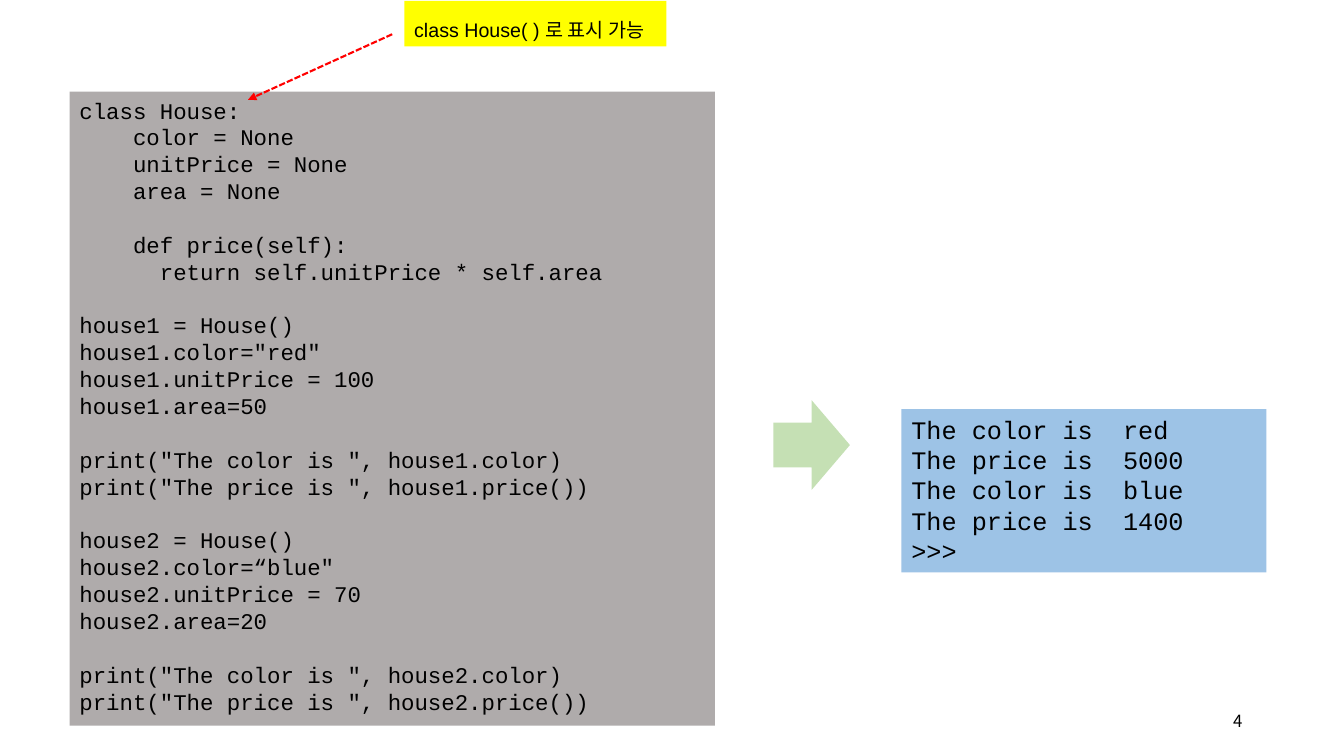
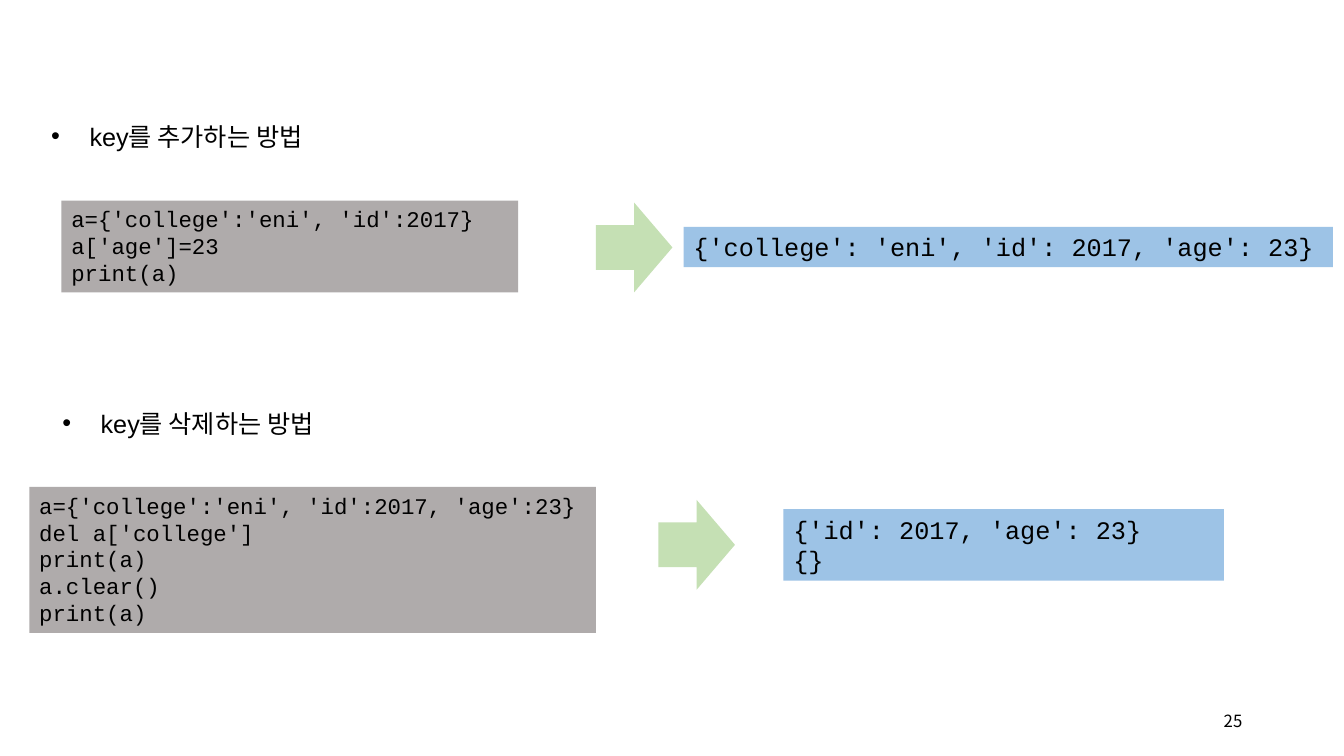
from pptx import Presentation
from pptx.dml.color import RGBColor
from pptx.enum.dml import MSO_LINE
from pptx.enum.shapes import MSO_CONNECTOR, MSO_SHAPE
from pptx.enum.text import MSO_ANCHOR, PP_ALIGN
from pptx.oxml.ns import qn
from pptx.util import Inches, Pt
from lxml import etree

RECTANGLE, RIGHT_ARROW = MSO_SHAPE.RECTANGLE, MSO_SHAPE.RIGHT_ARROW
TOP, MIDDLE = MSO_ANCHOR.TOP, MSO_ANCHOR.MIDDLE
LEFT, RIGHT = PP_ALIGN.LEFT, PP_ALIGN.RIGHT
STRAIGHT, DASH = MSO_CONNECTOR.STRAIGHT, MSO_LINE.SQUARE_DOT

COLORS = {"code": "AFABAB", "output": "9DC3E6", "arrow": "C5E0B4",
          "callout": "FFFF00", "pointer": "FF0000", "text": "000000"}
KOREAN_FONT = "Noto Sans CJK KR"
MONO_LEADING = 1.2
BULLET_INDENT = 0.38
ARROW_SIZE = (0.76, 0.89)
NUMBER_BOX = (11.87, 6.95, 0.55, 0.4)

# Text styles
STYLES = {
    "code": {"name": "Courier New", "size": Pt(16)},
    "output": {"name": "Courier New", "size": Pt(18)},
    "callout": {"name": "Arial", "size": Pt(14)},
    "bullet": {"name": "Arial", "size": Pt(18)},
    "number": {"name": KOREAN_FONT, "size": Pt(12)},
}

# Content: each code example is a list of stanzas
HOUSE_CODE = [
    ["class House:", "    color = None", "    unitPrice = None", "    area = None"],
    ["    def price(self):", "      return self.unitPrice * self.area"],
    ["house1 = House()", 'house1.color="red"', "house1.unitPrice = 100",
     "house1.area=50"],
    ['print("The color is ", house1.color)', 'print("The price is ", house1.price())'],
    ["house2 = House()", 'house2.color=“blue"', "house2.unitPrice = 70",
     "house2.area=20"],
    ['print("The color is ", house2.color)', 'print("The price is ", house2.price())'],
]
HOUSE_OUTPUT = [["The color is  red", "The price is  5000", "The color is  blue",
                 "The price is  1400", ">>>"]]
ADD_CODE = [["a={'college':'eni', 'id':2017}", "a['age']=23", "print(a)"]]
ADD_OUTPUT = [["{'college': 'eni', 'id': 2017, 'age': 23}"]]
DELETE_CODE = [["a={'college':'eni', 'id':2017, 'age':23}", "del a['college']",
                "print(a)", "a.clear()", "print(a)"]]
DELETE_OUTPUT = [["{'id': 2017, 'age': 23}", "{}"]]

SLIDES = [
    {"number": "4",
     "examples": [
         {"code": (HOUSE_CODE, (0.69, 0.91, 6.4, 6.29)),
          "arrow": (7.67, 3.97),
          "output": (HOUSE_OUTPUT, (8.94, 4.06, 3.62, 1.62))}],
     "callout": ("class House( ) 로 표시 가능", (4.01, 0.01, 2.6, 0.45)),
     "pointer": (3.89, 0.34, 2.46, 0.99)},
    {"number": "25",
     "examples": [
         {"bullet": ("key를 추가하는 방법", (0.41, 1, 2.88, 0.56)),
          "code": (ADD_CODE, (0.61, 1.99, 4.53, 0.91)),
          "arrow": (5.91, 2.01),
          "output": (ADD_OUTPUT, (6.78, 2.25, 6.44, 0.4))},
         {"bullet": ("key를 삭제하는 방법", (0.52, 3.85, 2.88, 0.56)),
          "code": (DELETE_CODE, (0.29, 4.83, 5.62, 1.45)),
          "arrow": (6.53, 4.96),
          "output": (DELETE_OUTPUT, (7.77, 5.05, 4.37, 0.71))}]},
]


def inches(values):
    return [Inches(value) for value in values]


def write_paragraph(paragraph, text, style, **layout):
    for name, value in {"alignment": LEFT, **layout}.items():
        setattr(paragraph, name, value)
    run = paragraph.add_run()
    run.text = text
    for name, value in STYLES[style].items():
        setattr(run.font, name, value)
    run.font.color.rgb = RGBColor.from_string(COLORS["text"])
    east_asian = etree.SubElement(run.font._element, qn("a:ea"))
    east_asian.set("typeface", KOREAN_FONT)


def add_filled_shape(slide, kind, box, color):
    shape = slide.shapes.add_shape(kind, *inches(box))
    shape.shadow.inherit = False
    shape.fill.solid()
    shape.fill.fore_color.rgb = RGBColor.from_string(COLORS[color])
    shape.line.fill.background()
    shape.text_frame.vertical_anchor = TOP
    return shape


def add_listing(slide, style, stanzas, box):
    """Monospaced block; stanzas are one line apart."""
    frame = add_filled_shape(slide, RECTANGLE, box, style).text_frame
    frame.word_wrap = True
    line_height = Pt(STYLES[style]["size"].pt * MONO_LEADING)
    paragraph = frame.paragraphs[0]
    for stanza_index, stanza in enumerate(stanzas):
        for line_index, line in enumerate(stanza):
            if stanza_index or line_index:
                paragraph = frame.add_paragraph()
            starts_stanza = stanza_index > 0 and line_index == 0
            write_paragraph(paragraph, line, style, line_spacing=line_height,
                            space_before=line_height if starts_stanza else Pt(0))


def add_bullet(slide, text, box):
    frame = slide.shapes.add_textbox(*inches(box)).text_frame
    frame.word_wrap = False
    paragraph = frame.paragraphs[0]
    write_paragraph(paragraph, text, "bullet", line_spacing=1.5)
    properties = paragraph._p.get_or_add_pPr()
    properties.set("marL", str(Inches(BULLET_INDENT)))
    properties.set("indent", str(-Inches(BULLET_INDENT)))
    etree.SubElement(properties, qn("a:buFont")).set("typeface", "Arial")
    etree.SubElement(properties, qn("a:buChar")).set("char", "•")


def add_callout(slide, text, box):
    frame = add_filled_shape(slide, RECTANGLE, box, "callout").text_frame
    frame.word_wrap = False
    write_paragraph(frame.paragraphs[0], text, "callout", line_spacing=1.5)


def add_pointer(slide, ends):
    connector = slide.shapes.add_connector(STRAIGHT, *inches(ends))
    connector.line.color.rgb = RGBColor.from_string(COLORS["pointer"])
    connector.line.width = Pt(1.5)
    connector.line.dash_style = DASH
    line = connector.line._get_or_add_ln()
    etree.SubElement(line, qn("a:tailEnd")).set("type", "triangle")
    etree.SubElement(connector._element.spPr, qn("a:effectLst"))


def add_number(slide, number):
    frame = slide.shapes.add_textbox(*inches(NUMBER_BOX)).text_frame
    frame.word_wrap = True
    frame.vertical_anchor = MIDDLE
    write_paragraph(frame.paragraphs[0], number, "number", alignment=RIGHT)


def add_example(slide, example):
    if "bullet" in example:
        add_bullet(slide, *example["bullet"])
    add_listing(slide, "output", *example["output"])
    add_filled_shape(slide, RIGHT_ARROW, example["arrow"] + ARROW_SIZE, "arrow")
    add_listing(slide, "code", *example["code"])


def main():
    presentation = Presentation()
    presentation.slide_width, presentation.slide_height = inches((13.33, 7.5))
    blank_layout = presentation.slide_layouts[6]
    for content in SLIDES:
        slide = presentation.slides.add_slide(blank_layout)
        add_number(slide, content["number"])
        for example in content["examples"]:
            add_example(slide, example)
        if "callout" in content:
            add_callout(slide, *content["callout"])
            add_pointer(slide, content["pointer"])
    presentation.save("out.pptx")


if __name__ == "__main__":
    main()
